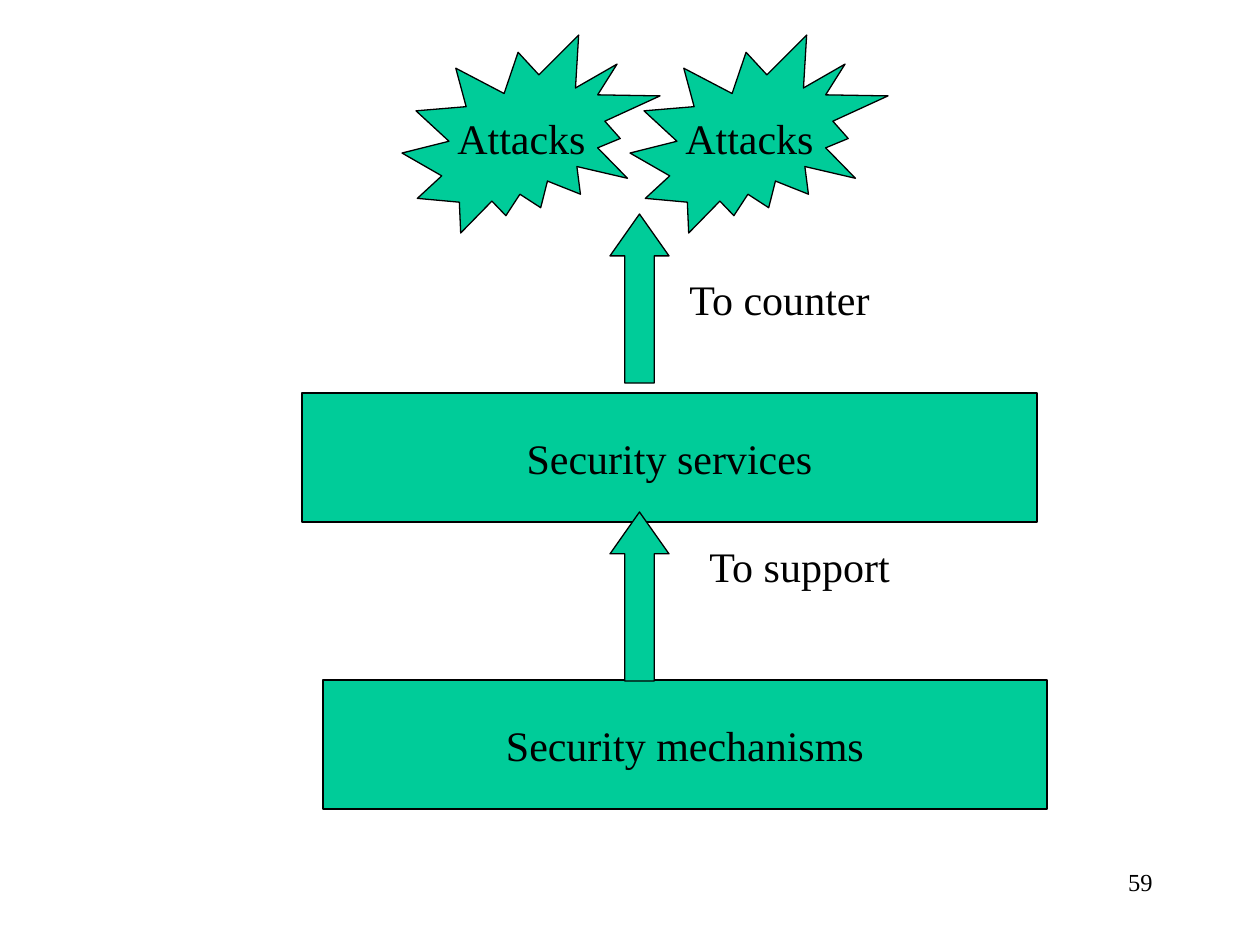
from pptx import Presentation
from pptx.dml.color import RGBColor
from pptx.enum.shapes import MSO_SHAPE as SHAPE
from pptx.enum.text import MSO_ANCHOR as ANCHOR, MSO_AUTO_SIZE as AUTO_SIZE, PP_ALIGN as ALIGN
from pptx.util import Pt

EMU_PER_PX = 914400 / 126
FONT = "Times New Roman"
COLORS = {"fill": "00CC99", "line": "000000", "text": "000000", "background": "FFFFFF"}


def px(n):
    return round(n * EMU_PER_PX)


def rgb(name):
    return RGBColor.from_string(COLORS[name])


def write(tf, text, align, size=24):
    p = tf.paragraphs[0]
    p.alignment = align
    r = p.add_run()
    r.text = text
    r.font.name = FONT
    r.font.size = Pt(size)
    r.font.color.rgb = rgb("text")


def add_figure(slide, kind, box, text=None):
    """Add a green outlined shape, with centred text if any is given."""
    sp = slide.shapes.add_shape(kind, *map(px, box))
    sp.shadow.inherit = False
    sp.fill.solid()
    sp.fill.fore_color.rgb = rgb("fill")
    sp.line.color.rgb = rgb("line")
    sp.line.width = Pt(0.75)
    if text:
        tf = sp.text_frame
        tf.word_wrap = False
        tf.vertical_anchor = ANCHOR.MIDDLE
        write(tf, text, ALIGN.CENTER)
    return sp


def add_label(slide, box, text):
    tf = slide.shapes.add_textbox(*map(px, box)).text_frame
    tf.word_wrap = False
    tf.auto_size = AUTO_SIZE.SHAPE_TO_FIT_TEXT
    write(tf, text, ALIGN.LEFT)


def add_attacks(slide, box):
    """Add two equal bursts that overlap slightly and fill the box."""
    x, y, w, h = box
    burst_w = 258
    for left in (x, x + w - burst_w):
        add_figure(slide, SHAPE.EXPLOSION2, (left, y, burst_w, h), "Attacks")


def add_step(slide, box, text, label_dx, label_dy):
    """Add an up arrow filling the box, and its label offset from the box corner."""
    x, y, w, h = box
    arrow = add_figure(slide, SHAPE.UP_ARROW, box)
    arrow.adjustments[0] = 0.5
    arrow.adjustments[1] = 0.71
    add_label(slide, (x + label_dx, y + label_dy, 208, 63), text)


def add_page_number(slide, box, number):
    tf = slide.shapes.add_textbox(*map(px, box)).text_frame
    tf.word_wrap = True
    write(tf, number, ALIGN.RIGHT, 14)


def main():
    prs = Presentation()
    prs.slide_width, prs.slide_height = px(1260), px(945)
    slide = prs.slides.add_slide(prs.slide_layouts[6])
    slide.background.fill.solid()
    slide.background.fill.fore_color.rgb = rgb("background")

    add_figure(slide, SHAPE.RECTANGLE, (323, 680, 724, 129), "Security mechanisms")
    add_figure(slide, SHAPE.RECTANGLE, (302, 393, 735, 129), "Security services")
    add_attacks(slide, (402, 35, 486, 198))
    add_step(slide, (610, 214, 59, 169), "To counter", 67, 53)
    add_step(slide, (610, 512, 59, 169), "To support", 87, 22)
    add_page_number(slide, (903, 861, 262, 63), "59")
    prs.save("out.pptx")


if __name__ == "__main__":
    main()
